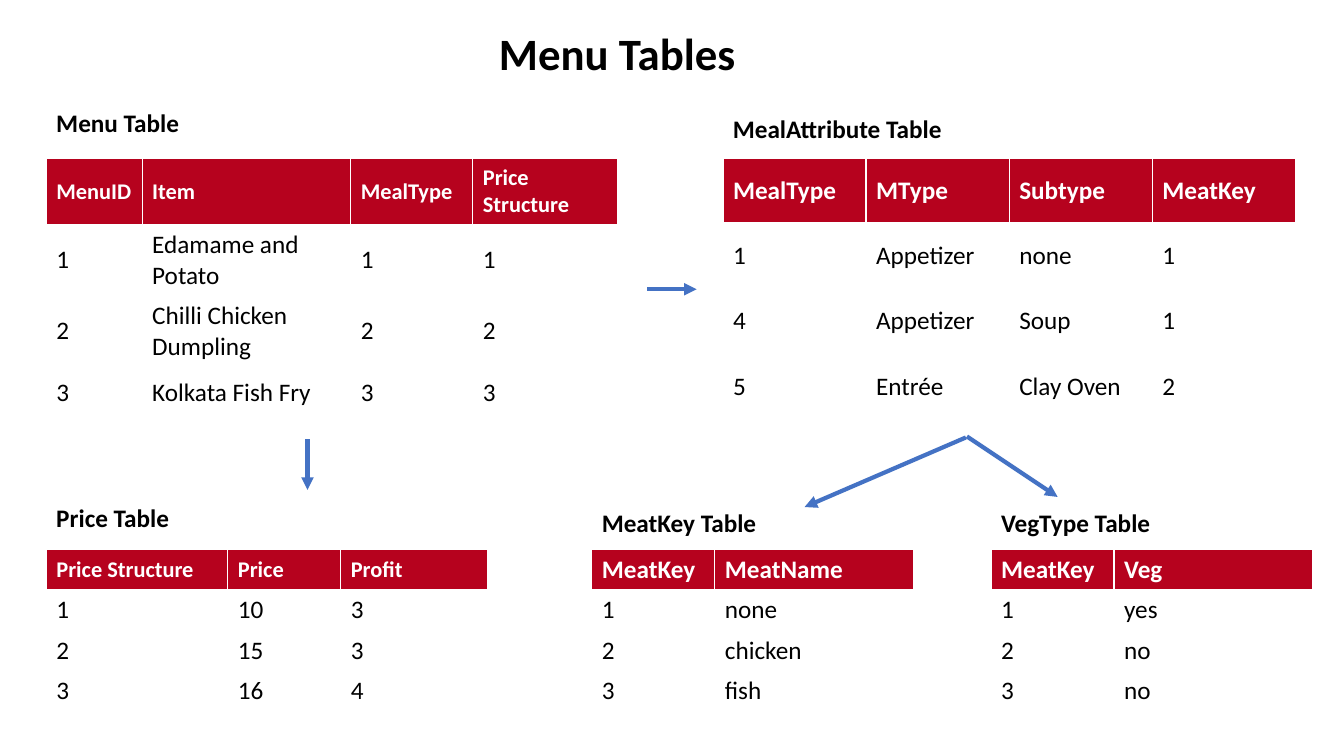
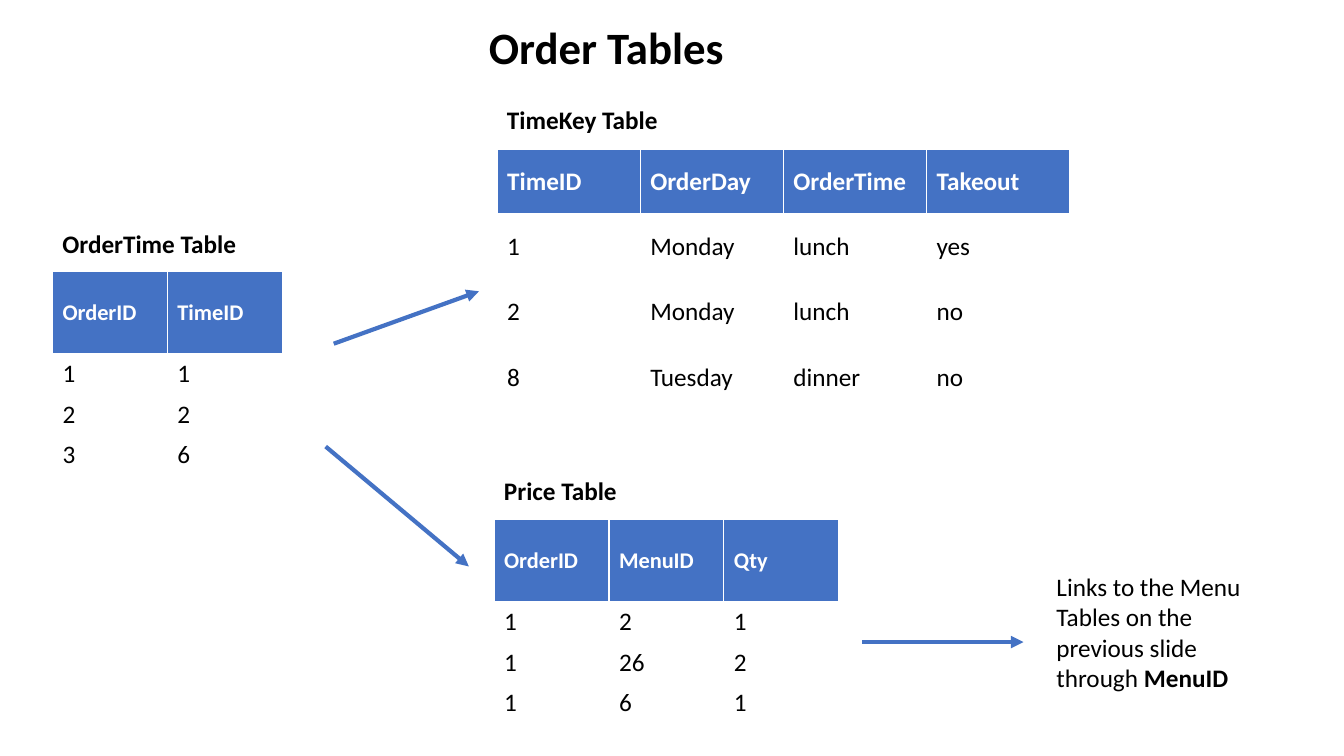
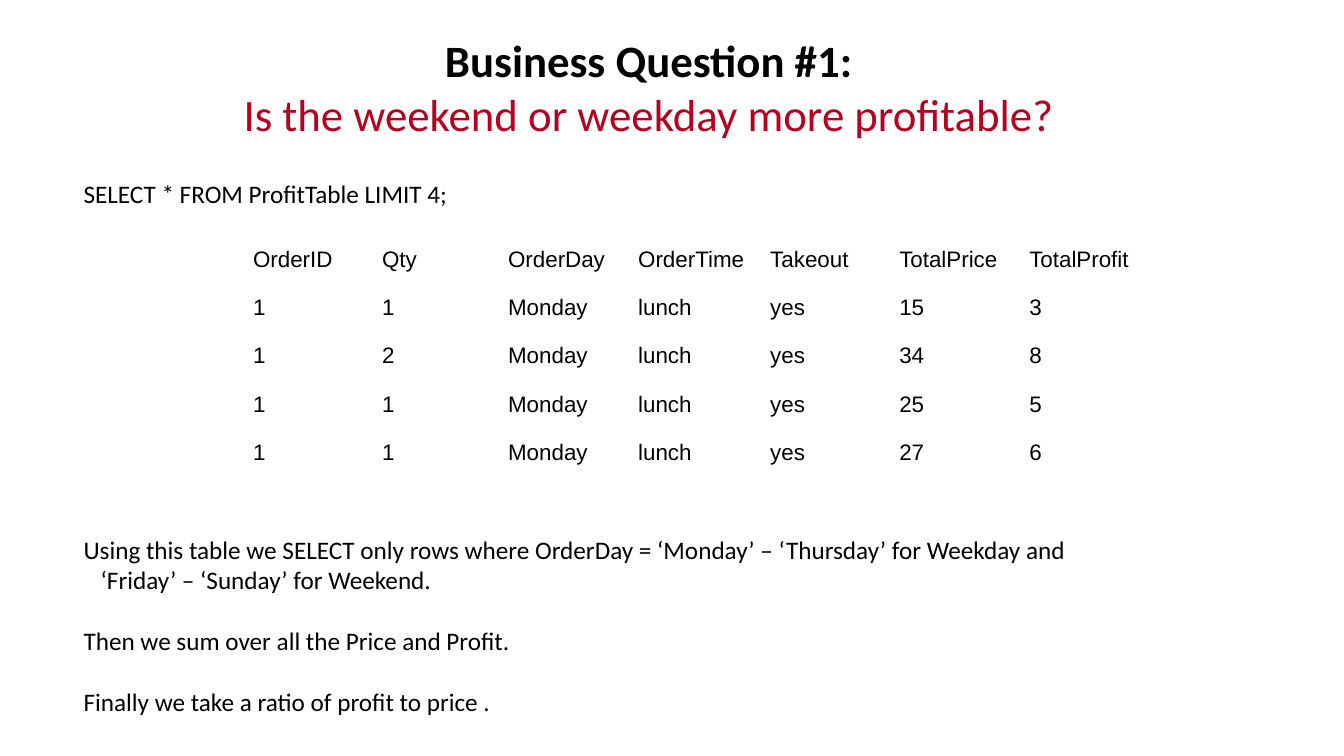
from lxml.etree import SubElement
from pptx import Presentation
from pptx.dml.color import RGBColor
from pptx.enum.shapes import MSO_CONNECTOR
from pptx.enum.text import MSO_ANCHOR, MSO_AUTO_SIZE, PP_ALIGN
from pptx.oxml.ns import qn
from pptx.util import Inches, Pt

BLACK = RGBColor(0x00, 0x00, 0x00)
WHITE = RGBColor(0xFF, 0xFF, 0xFF)
RED = RGBColor(0xB6, 0x02, 0x1E)
BLUE = RGBColor(0x44, 0x72, 0xC4)


def write(para, text, size=18, bold=False, color=BLACK, font="Calibri"):
    run = para.add_run()
    run.text = text
    run.font.size = Pt(size)
    run.font.bold = bold
    run.font.color.rgb = color
    run.font.name = font


class Deck:
    def __init__(self):
        self.prs = Presentation()
        self.prs.slide_width = Inches(13.33)
        self.prs.slide_height = Inches(7.5)
        self.slide = None

    def start(self):
        self.slide = self.prs.slides.add_slide(self.prs.slide_layouts[6])

    def box(self, left, top, width, height=0.4, wrap=False):
        shape = self.slide.shapes.add_textbox(
            Inches(left), Inches(top), Inches(width), Inches(height))
        frame = shape.text_frame
        frame.word_wrap = wrap
        frame.auto_size = MSO_AUTO_SIZE.SHAPE_TO_FIT_TEXT
        return frame

    def title(self, text, left, top, width, height=0.64):
        frame = self.box(left, top, width, height)
        write(frame.paragraphs[0], text, size=32, bold=True)
        return frame

    def label(self, text, left, top, width, bold=True):
        write(self.box(left, top, width).paragraphs[0], text, bold=bold)

    def grid(self, left, top, cols, rows, data):
        table = self.slide.shapes.add_table(
            len(rows), len(cols), Inches(left), Inches(top),
            Inches(sum(cols)), Inches(sum(rows))).table
        table.horz_banding = False
        for col, width in zip(table.columns, cols):
            col.width = Inches(width)
        for row, height, texts in zip(table.rows, rows, data):
            row.height = Inches(height)
            for cell, text in zip(row.cells, texts):
                cell.fill.background()
                yield cell, text

    def keyed(self, left, top, cols, rows, data, fill, head=18):
        count = len(cols)
        for place, (cell, text) in enumerate(self.grid(left, top, cols, rows, data)):
            cell.vertical_anchor = MSO_ANCHOR.MIDDLE
            para = cell.text_frame.paragraphs[0]
            if place < count:
                cell.fill.solid()
                cell.fill.fore_color.rgb = fill
                write(para, text, size=head, bold=True, color=WHITE)
            else:
                write(para, text)

    def plain(self, left, top, cols, rows, data):
        for cell, text in self.grid(left, top, cols, rows, data):
            cell.margin_left = cell.margin_right = Inches(0.07)
            cell.margin_top = cell.margin_bottom = Inches(0.07)
            write(cell.text_frame.paragraphs[0], text, size=16, font="Arial")

    def arrow(self, *ends):
        line = self.slide.shapes.add_connector(
            MSO_CONNECTOR.STRAIGHT, *[Inches(end) for end in ends])
        line.line.color.rgb = BLUE
        line.line.width = Pt(3)
        SubElement(line.line._get_or_add_ln(), qn("a:tailEnd"), type="triangle")
        SubElement(line._element.spPr, qn("a:effectLst"))


QUARTERS = [1.42] * 4
TALL = [0.64] + [0.65] * 3
SHORT = [0.4] * 4
DEEP = [0.82] + [0.4] * 3


def menu(deck):
    deck.start()
    deck.title("Menu Tables", 4.85, 0.21, 2.57)
    deck.label("Menu Table", 0.46, 1.02, 1.43)
    deck.keyed(0.46, 1.57, [0.95, 2.07, 1.21, 1.44], [0.66, 0.66, 0.66, 0.53], [
        ["MenuID", "Item", "MealType", "Price Structure"],
        ["1", "Edamame and Potato", "1", "1"],
        ["2", "Chilli Chicken Dumpling", "2", "2"],
        ["3", "Kolkata Fish Fry", "3", "3"],
    ], RED, head=16)
    deck.label("MealAttribute Table", 7.17, 1.08, 2.28)
    deck.keyed(7.17, 1.57, QUARTERS, TALL, [
        ["MealType", "MType", "Subtype", "MeatKey"],
        ["1", "Appetizer", "none", "1"],
        ["4", "Appetizer", "Soup", "1"],
        ["5", "Entrée", "Clay Oven", "2"],
    ], RED)
    deck.label("Price Table", 0.46, 4.93, 1.33)
    deck.keyed(0.46, 5.45, [1.8, 1.12, 1.46], SHORT, [
        ["Price Structure", "Price", "Profit"],
        ["1", "10", "3"],
        ["2", "15", "3"],
        ["3", "16", "4"],
    ], RED, head=16)
    for left, name, width, head, kinds in [
        (5.87, "MeatKey Table", 1.75, "MeatName", ["none", "chicken", "fish"]),
        (9.83, "VegType Table", 1.69, "Veg", ["yes", "no", "no"]),
    ]:
        deck.label(name, left, 4.98, width)
        data = [["MeatKey", head]]
        data += [[str(key), kind] for key, kind in enumerate(kinds, 1)]
        deck.keyed(left, 5.45, [1.22, 1.97], SHORT, data, RED)
    deck.arrow(6.42, 2.87, 6.91, 2.87)
    deck.arrow(3.05, 4.36, 3.05, 4.86)
    deck.arrow(9.58, 4.34, 7.98, 5.03)
    deck.arrow(9.59, 4.33, 10.49, 4.93)


def orders(deck):
    deck.start()
    deck.title("Order Tables", 4.75, 0.15, 2.55)
    deck.label("OrderTime Table", 0.52, 2.22, 1.94)
    deck.keyed(0.52, 2.69, [1.14] * 2, DEEP, [
        ["OrderID", "TimeID"],
        ["1", "1"],
        ["2", "2"],
        ["3", "6"],
    ], BLUE, head=16)
    deck.label("TimeKey Table", 4.93, 0.99, 1.71)
    deck.keyed(4.93, 1.48, QUARTERS, TALL, [
        ["TimeID", "OrderDay", "OrderTime", "Takeout"],
        ["1", "Monday", "lunch", "yes"],
        ["2", "Monday", "lunch", "no"],
        ["8", "Tuesday", "dinner", "no"],
    ], BLUE)
    deck.label("Price Table", 4.9, 4.67, 1.33)
    deck.keyed(4.9, 5.15, [1.14] * 3, DEEP, [
        ["OrderID", "MenuID", "Qty"],
        ["1", "2", "1"],
        ["1", "26", "2"],
        ["1", "6", "1"],
    ], BLUE, head=16)
    deck.arrow(3.23, 4.43, 4.65, 5.62)
    deck.arrow(3.31, 3.41, 4.75, 2.89)
    deck.arrow(8.55, 6.37, 10.15, 6.37)
    para = deck.box(10.38, 5.62, 2.43, 1.31, wrap=True).paragraphs[0]
    write(para, "Links to the Menu Tables on the previous slide through ")
    write(para, "MenuID", bold=True)


def profit(deck):
    deck.start()
    frame = deck.title("Business Question #1:", 2.28, 0.28, 8.31, 1.72)
    write(frame.add_paragraph(), "Is the weekend or weekday more profitable?",
          size=32, color=RED)
    for para in frame.paragraphs:
        para.alignment = PP_ALIGN.CENTER
    deck.label("SELECT * FROM ProfitTable LIMIT 4;", 0.73, 1.72, 3.85, bold=False)
    sums = [("1", "15", "3"), ("2", "34", "8"), ("1", "25", "5"), ("1", "27", "6")]
    data = [["OrderID", "Qty", "OrderDay", "OrderTime", "Takeout",
             "TotalPrice", "TotalProfit"]]
    data += [["1", qty, "Monday", "lunch", "yes", price, gain]
             for qty, price, gain in sums]
    deck.plain(2.44, 2.38, [1.28, 1.25, 1.29, 1.31, 1.28, 1.29, 1.29],
               [0.48] * 5, data)
    frame = deck.box(0.73, 5.25, 10.52, 1.92, wrap=True)
    write(frame.paragraphs[0], "Using this table we SELECT only rows where "
          "OrderDay = ‘Monday’ – ‘Thursday’ for Weekday and")
    para = frame.add_paragraph()
    para._p.get_or_add_pPr().set("marL", str(Inches(0.17)))
    write(para, "‘Friday’ – ‘Sunday’ for Weekend.")
    for text in ["Then we sum over all the Price and Profit.",
                 "Finally we take a ratio of profit to price ."]:
        para = frame.add_paragraph()
        para.space_before = Pt(22)
        write(para, text)


def main():
    deck = Deck()
    menu(deck)
    orders(deck)
    profit(deck)
    deck.prs.save("out.pptx")


if __name__ == "__main__":
    main()
